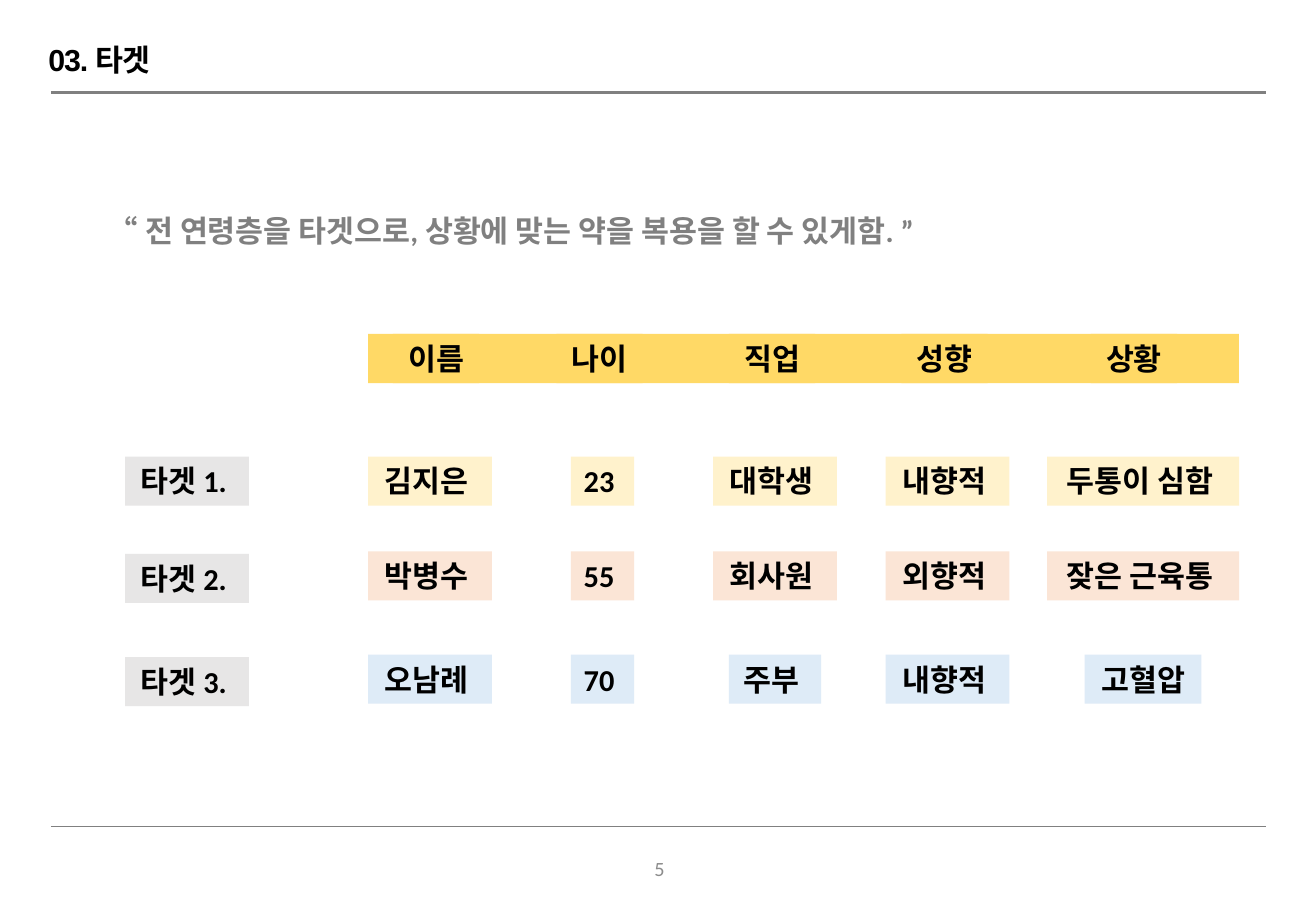
from dataclasses import dataclass

from lxml import etree
from pptx import Presentation
from pptx.dml.color import RGBColor
from pptx.enum.shapes import MSO_CONNECTOR, MSO_SHAPE
from pptx.enum.text import MSO_ANCHOR, MSO_AUTO_SIZE, PP_ALIGN
from pptx.oxml.ns import qn
from pptx.util import Pt

STRAIGHT = MSO_CONNECTOR.STRAIGHT
RECTANGLE = MSO_SHAPE.RECTANGLE
LEFT, CENTER = PP_ALIGN.LEFT, PP_ALIGN.CENTER
TOP, MIDDLE = MSO_ANCHOR.TOP, MSO_ANCHOR.MIDDLE
GROW, FIXED = MSO_AUTO_SIZE.SHAPE_TO_FIT_TEXT, MSO_AUTO_SIZE.NONE

COLORS = {
    "black": "000000", "gray": "808080", "page_number": "8C8C8C",
    "label": "E7E6E6", "header": "FFD966",
    "yellow": "FFF2CC", "orange": "FBE5D6", "blue": "DEEBF7",
}

BOX_HEIGHT = 29.08
HEADER_TOP = 198
TABLE_LEFT, TABLE_WIDTH = 218.16, 516.24
LABEL_CENTER = 110.88
NAME_WIDTH = 73.44
COLUMN_CENTERS = [254.88 + 102.24 * column for column in range(4)] + [677.52]


@dataclass
class Caption:
    text: str
    left: float
    top: float
    width: float
    height: float
    color: str = "black"
    size: float = 18
    font: str = "Calibri"
    bold: bool = True
    align: int = LEFT
    anchor: int = TOP
    grow: int = FIXED
    line_spacing: float = 1
    letter_spacing: int = 0


@dataclass
class Cell:
    text: str
    center: float
    top: float
    width: float
    fill: str


@dataclass
class Target:
    label: str
    label_top: float
    top: float
    fill: str
    values: list[str]
    widths: list[float]


@dataclass
class Rule:
    top: float
    weight: float


RULES = [Rule(54.72, 1.5), Rule(489.6, 0.25)]

CAPTIONS = [
    Caption("03. 타겟", 21.6, 12.96, 727.92, 46.8, font="Arial", anchor=MIDDLE,
            line_spacing=0.9, letter_spacing=-70),
    Caption("5", 303.12, 500.4, 175.68, 28.8, color="page_number", size=12,
            bold=False, align=CENTER, anchor=MIDDLE),
    Caption("“ 전 연령층을 타겟으로, 상황에 맞는 약을 복용을 할 수 있게함. ”",
            56.88, 100.8, 677.52, 44.64, color="gray", grow=GROW, line_spacing=2),
]

HEADERS = [("이름", 258.48), ("나이", 355.32), ("직업", 457.56),
           ("성향", 559.8), ("상황", 672.12)]

WIDTHS = [NAME_WIDTH, 37.44, NAME_WIDTH, NAME_WIDTH, 113.76]
TARGETS = [
    Target("타겟 1. ", 270.72, 270.72, "yellow",
           ["김지은 ", "23 ", "대학생 ", "내향적 ", "두통이 심함 "], WIDTHS),
    Target("타겟 2. ", 328.32, 326.88, "orange",
           ["박병수 ", "55 ", "회사원 ", "외향적 ", "잦은 근육통 "], WIDTHS),
    Target("타겟 3. ", 389.52, 388.08, "blue",
           ["오남례 ", "70 ", "주부 ", "내향적 ", "고혈압"],
           [NAME_WIDTH, 37.44, 54.72, NAME_WIDTH, 69.12]),
]


def rgb(name: str) -> RGBColor:
    return RGBColor.from_string(COLORS[name])


def apply(target: object, formats: dict) -> None:
    for name, value in formats.items():
        setattr(target, name, value)


def draw_rule(page, rule: Rule) -> None:
    line = page.shapes.add_connector(
        STRAIGHT, Pt(30.24), Pt(rule.top), Pt(750.24), Pt(rule.top))
    line.line.color.rgb = rgb("gray")
    line.line.width = Pt(rule.weight)
    etree.SubElement(line.element.spPr, qn("a:effectLst"))


def draw_caption(page, caption: Caption) -> None:
    box = page.shapes.add_textbox(
        Pt(caption.left), Pt(caption.top), Pt(caption.width), Pt(caption.height))
    apply(box.text_frame, {"word_wrap": True, "auto_size": caption.grow,
                           "vertical_anchor": caption.anchor})
    para = box.text_frame.paragraphs[0]
    apply(para, {"alignment": caption.align, "line_spacing": caption.line_spacing})
    span = para.add_run()
    span.text = caption.text
    apply(span.font, {"name": caption.font, "size": Pt(caption.size),
                      "bold": caption.bold})
    span.font.color.rgb = rgb(caption.color)
    if caption.letter_spacing:
        span._r.get_or_add_rPr().set("spc", str(caption.letter_spacing))


def draw_box(page, left: float, top: float, width: float, fill: str):
    box = page.shapes.add_shape(
        RECTANGLE, Pt(left), Pt(top), Pt(width), Pt(BOX_HEIGHT))
    box.shadow.inherit = False
    box.fill.solid()
    box.fill.fore_color.rgb = rgb(fill)
    box.line.fill.background()
    return box


def draw_cell(page, cell: Cell) -> None:
    box = draw_box(page, cell.center - cell.width / 2, cell.top, cell.width, cell.fill)
    apply(box.text_frame, {"word_wrap": False, "auto_size": GROW,
                           "vertical_anchor": TOP})
    para = box.text_frame.paragraphs[0]
    para.alignment = CENTER
    span = para.add_run()
    span.text = cell.text
    apply(span.font, {"name": "Calibri", "size": Pt(18), "bold": True})
    span.font.color.rgb = rgb("black")


def main() -> None:
    deck = Presentation()
    apply(deck, {"slide_width": Pt(780), "slide_height": Pt(540)})
    page = deck.slides.add_slide(deck.slide_layouts[6])

    # Page frame, title and quote
    for rule in RULES:
        draw_rule(page, rule)
    for caption in CAPTIONS:
        draw_caption(page, caption)

    # Header bar with column names
    draw_box(page, TABLE_LEFT, HEADER_TOP, TABLE_WIDTH, "header")
    for text, center in HEADERS:
        draw_cell(page, Cell(text, center, HEADER_TOP, 51.12, "header"))

    # One row of boxes for each target
    for target in TARGETS:
        draw_cell(page, Cell(target.label, LABEL_CENTER, target.label_top,
                             NAME_WIDTH, "label"))
        for text, center, width in zip(target.values, COLUMN_CENTERS, target.widths):
            draw_cell(page, Cell(text, center, target.top, width, target.fill))

    deck.save("out.pptx")


if __name__ == "__main__":
    main()
